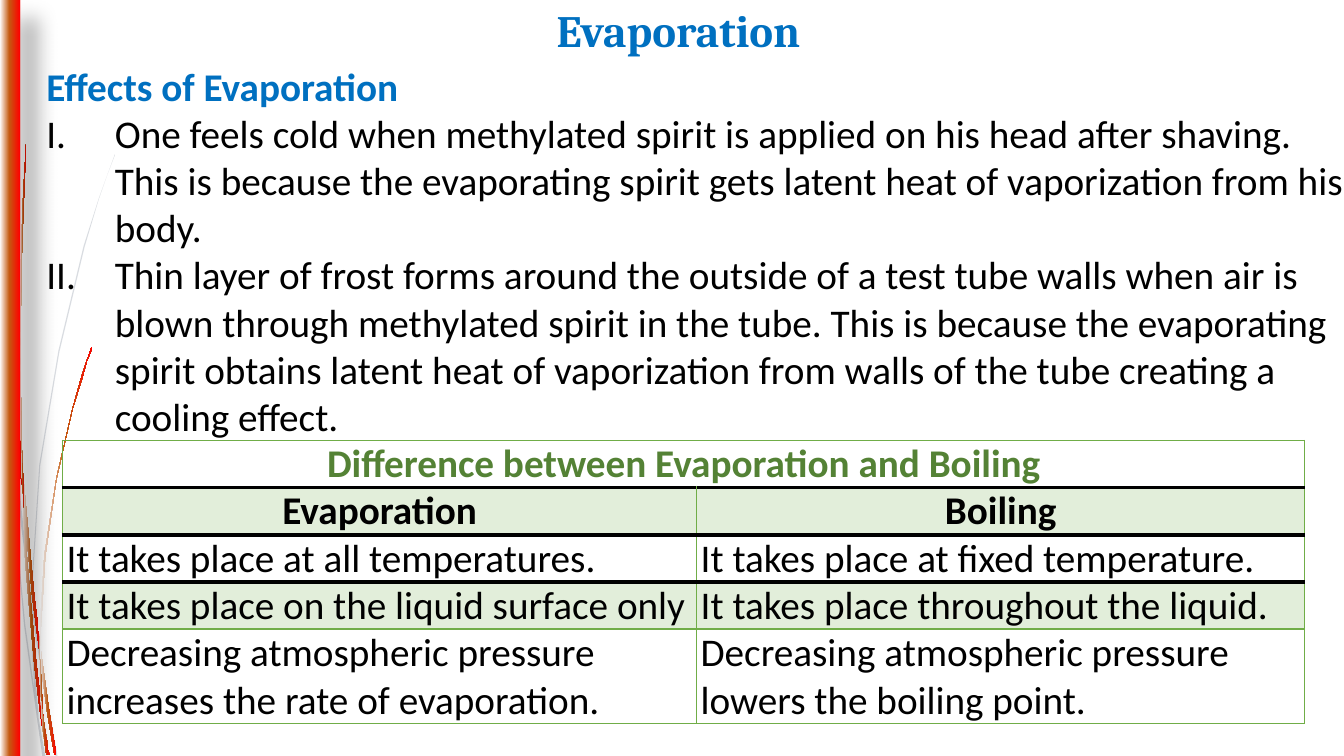
from dataclasses import dataclass

from lxml import etree
from pptx import Presentation
from pptx.dml.color import RGBColor
from pptx.enum import shapes, text
from pptx.oxml import ns
from pptx.util import Inches, Pt


@dataclass(frozen=True)
class Theme:
    """Colours, fonts and sizes of the slide."""
    blue: str = "0070C0"
    black: str = "000000"
    green: str = "70AD47"
    moss: str = "548235"
    slate: str = "44546A"
    flame: tuple = ((0, "FFFFFF"), (46, "C55A11"), (100, "FF0000"))
    head: str = "Cambria"
    body: str = "Calibri"
    big: int = 32
    size: int = 28


T = Theme()

SMOKE = [
    [(.04, 3.5), (.03, 3.22), (0, 2.82), (0, 2.99), (.04, 3.44)],
    [(.21, 5.22), (.31, 5.99), (.31, 5.86), (.23, 5.2), (.05, 3.45), (.06, 3.76)],
    [(.34, 6.07), (.32, 5.96), (.32, 6.1), (.45, 6.94), (.55, 7.5), (.57, 7.5), (.47, 6.92)],
    [(.44, 7.5), (.45, 7.5), (.38, 7.11)],
    [(.34, 6.83), (.25, 6.19), (.11, 4.69), (.06, 3.76), (.04, 3.5), (.1, 4.7),
     (.24, 6.21), (.34, 6.93), (.37, 7.14), (.36, 7.07)],
    [(.03, 3.16), (.03, 3.22), (.05, 3.44), (.05, 3.45), (.04, 3.15), (.02, 1.61),
     (.04, .25), (.03, .25), (.01, 1.61)],
    [(.03, 3.22), (.04, 3.5), (.06, 3.76), (.05, 3.45), (.05, 3.44)],
    [(.31, 5.99), (.32, 6.46), (.34, 6.83), (.35, 6.92), (.38, 7.11), (.38, 7.06),
     (.33, 6.46), (.32, 6.1), (.32, 6.08)],
    [(.32, 5.84), (.4, 4.62), (.59, 3.49), (.84, 2.45), (.98, 1.98), (1.06, 1.75),
     (1.14, 1.54), (1.14, 1.53), (1.06, 1.75), (.98, 1.97), (.83, 2.44), (.58, 3.48),
     (.39, 4.61), (.31, 5.84), (.31, 5.86), (.32, 5.96)],
    [(.37, 7.14), (.42, 7.5), (.43, 7.5)],
    [(.32, 6.08), (.32, 6.1), (.32, 5.96), (.31, 5.86), (.31, 5.99)],
    [(.35, 6.92), (.34, 6.83), (.36, 7.07), (.37, 7.14), (.43, 7.5), (.44, 7.5), (.38, 7.11)],
]
FIRE = [
    [(.04, 1.1), (.08, 2.33), (.13, 3.55), (.21, 4.77), (.22, 4.81), (.21, 4.57),
     (.21, 4.53), (.14, 3.55), (.08, 2.32), (.05, 1.09), (.04, .48), (.03, 0), (.03, .48)],
    [(.32, 5.92), (.39, 6.45), (.39, 6.33), (.39, 6.31), (.34, 5.9), (.23, 4.72), (.24, 5.05)],
    [(.41, 6.49), (.4, 6.41), (.4, 6.56), (.47, 7.08), (.54, 7.49), (.56, 7.49), (.49, 7.06)],
    [(.4, 6.91), (.36, 6.57), (.27, 5.56), (.24, 5.05), (.22, 4.77), (.25, 5.57),
     (.34, 6.59), (.4, 7.08), (.42, 7.22), (.42, 7.17)],
    [(.23, 4.72), (.22, 4.53), (.2, 3.49), (.22, 2.45), (.24, 1.93), (.26, 1.41),
     (.23, 1.93), (.21, 2.45), (.2, 3.49), (.21, 4.49), (.22, 4.72)],
    [(.48, 7.49), (.49, 7.49), (.44, 7.19)],
    [(.22, 4.77), (.24, 5.05), (.23, 4.72), (.21, 4.49), (.21, 4.53)],
    [(.4, 6.33), (.45, 5.52), (.56, 4.76), (.72, 4.06), (.82, 3.74), (.86, 3.59),
     (.92, 3.44), (.91, 3.44), (.86, 3.58), (.81, 3.73), (.72, 4.05), (.56, 4.74),
     (.44, 5.51), (.39, 6.31), (.4, 6.41)],
    [(.42, 7.22), (.46, 7.49), (.47, 7.49)],
    [(.39, 6.45), (.4, 6.91), (.42, 7.06), (.44, 7.19), (.43, 7.16), (.4, 6.56), (.39, 6.51)],
    [(.39, 6.45), (.39, 6.51), (.4, 6.56), (.4, 6.41), (.39, 6.31), (.39, 6.33)],
    [(.42, 7.06), (.4, 6.91), (.42, 7.17), (.42, 7.22), (.47, 7.49), (.48, 7.49), (.44, 7.19)],
]
EFFECTS = [
    "I.\tOne feels cold when methylated spirit is applied on his head after shaving. "
    "This is because the evaporating spirit gets latent heat of vaporization from his body.",
    "II.\tThin layer of frost forms around the outside of a test tube walls when air is "
    "blown through methylated spirit in the tube. This is because the evaporating spirit "
    "obtains latent heat of vaporization from walls of the tube creating a cooling effect.",
]
ROWS = [
    ("Difference between Evaporation and Boiling", ""),
    ("Evaporation", "Boiling"),
    ("It takes place at all temperatures.", "It takes place at fixed temperature."),
    ("It takes place on the liquid surface only", "It takes place throughout the liquid."),
    ("Decreasing atmospheric pressure increases the rate of evaporation.",
     "Decreasing atmospheric pressure lowers the boiling point."),
]


def node(up, tag, **attrs):
    """Append a drawing element to its parent."""
    return etree.SubElement(up, ns.qn("a:" + tag), {k: str(v) for k, v in attrs.items()})


def paint(up, color, alpha=100):
    """Append a solid fill of the given opacity."""
    tone = node(node(up, "solidFill"), "srgbClr", val=color)
    node(tone, "alpha", val=alpha * 1000)


def blend(shape):
    """Fill a shape with the flame gradient from left to right."""
    shape.fill.gradient()
    shape.fill.gradient_angle = 0
    stops = shape.element.spPr.find(".//" + ns.qn("a:gsLst"))
    for old in list(stops):
        stops.remove(old)
    for pos, color in T.flame:
        node(node(stops, "gs", pos=pos * 1000), "srgbClr", val=color)


def write(para, words, color, bold=False, font=T.body, size=T.size):
    """Add one styled run to a paragraph."""
    run = para.add_run()
    run.text = words
    run.font.name, run.font.size, run.font.bold = font, Pt(size), bold
    run.font.color.rgb = RGBColor.from_string(color)


def frame(slide, box, inset=0):
    """Add a wrapping text box and return its text frame."""
    area = slide.shapes.add_textbox(*map(Inches, box)).text_frame
    area.word_wrap = True
    area.margin_left = area.margin_right = Inches(inset)
    area.margin_top = area.margin_bottom = Inches(inset / 2)
    return area


def wisp(slide, left, top, points):
    """Draw one closed blade and return it without line or shadow."""
    dots = [(Inches(left + x), Inches(top + y)) for x, y in points]
    pen = slide.shapes.build_freeform(*dots[0])
    pen.add_line_segments(dots[1:], close=True)
    blade = pen.convert_to_shape()
    blade.shadow.inherit = False
    blade.line.fill.background()
    return blade


def edge(slide, box):
    """Draw the blades and the glowing bar along the left edge."""
    left, top, wide, high = box
    for points in SMOKE:
        blade = wisp(slide, left, top, points)
        blade.fill.solid()
        blade.fill.fore_color.rgb = RGBColor.from_string(T.slate)
        tone = blade.element.spPr.find(ns.qn("a:solidFill"))[0]
        node(tone, "alpha", val=20000)
    for points in FIRE:
        blend(wisp(slide, left, top, points))
    bar = slide.shapes.add_shape(shapes.MSO_SHAPE.RECTANGLE, *map(Inches, box))
    bar.shadow.inherit = False
    bar.line.fill.background()
    blend(bar)
    glow = node(bar.element.spPr.find(ns.qn("a:effectLst")), "outerShdw",
                blurRad=Pt(15), dist=Pt(18), dir=45 * 60000, algn="tl", rotWithShape=0)
    node(node(glow, "srgbClr", val=T.black), "alpha", val=30000)


def title(slide, box):
    """Write the centred heading."""
    area = frame(slide, box, 0.1)
    area.vertical_anchor = text.MSO_ANCHOR.MIDDLE
    para = area.paragraphs[0]
    para.alignment, para.line_spacing = text.PP_ALIGN.CENTER, 0.9
    write(para, "Evaporation", T.blue, True, T.head, T.big)


def effects(slide, box):
    """Write the subheading and the numbered effects."""
    area = frame(slide, box)
    write(area.paragraphs[0], "Effects of Evaporation", T.blue, True)
    hang = Inches(0.68)
    for words in EFFECTS:
        para = area.add_paragraph()
        props = para._p.get_or_add_pPr()
        props.set("marL", str(hang))
        props.set("indent", str(-hang))
        node(node(props, "tabLst"), "tab", pos=hang, algn="l")
        write(para, words, T.black)


def border(props, side, color, width):
    """Append one cell border."""
    paint(node(props, "ln" + side, w=Pt(width)), color)


def compare(slide, box):
    """Build the table of differences."""
    grid = slide.shapes.add_table(len(ROWS), 2, *map(Inches, box)).table
    grid.first_row = grid.horz_banding = False
    grid.columns[0].width, grid.columns[1].width = Inches(6.29), Inches(box[2] - 6.29)
    unit = box[3] / (len(ROWS) + 1)
    thin, thick = (T.green, 1), (T.black, 3)
    for r, row in enumerate(ROWS):
        grid.rows[r].height = Inches(unit * (2 if r == len(ROWS) - 1 else 1))
        for c, words in enumerate(row):
            cell = grid.cell(r, c)
            cell.margin_left = cell.margin_right = Inches(0.04)
            cell.margin_top = cell.margin_bottom = 0
            props = cell._tc.get_or_add_tcPr()
            border(props, "L", *thin)
            border(props, "R", *thin)
            border(props, "T", *(thick if 1 <= r <= 3 else thin))
            border(props, "B", *(thick if r <= 2 else thin))
            if r % 2:
                paint(props, T.green, 20)
            else:
                node(props, "noFill")
            if words:
                para = cell.text_frame.paragraphs[0]
                if r < 2:
                    para.alignment = text.PP_ALIGN.CENTER
                write(para, words, T.black if r else T.moss, r < 2)
    grid.cell(0, 0).merge(grid.cell(0, 1))


def main():
    """Build and save the slide."""
    deck = Presentation()
    deck.slide_width, deck.slide_height = Inches(13.33), Inches(7.5)
    slide = deck.slides.add_slide(deck.slide_layouts[6])
    edge(slide, (0, 0, 0.2, 7.5))
    title(slide, (1.14, 0.03, 11.18, 0.59))
    effects(slide, (0.46, 0.62, 12.87, 6.42))
    compare(slide, (0.62, 4.37, 12.32, 2.8))
    deck.save("out.pptx")


if __name__ == "__main__":
    main()
